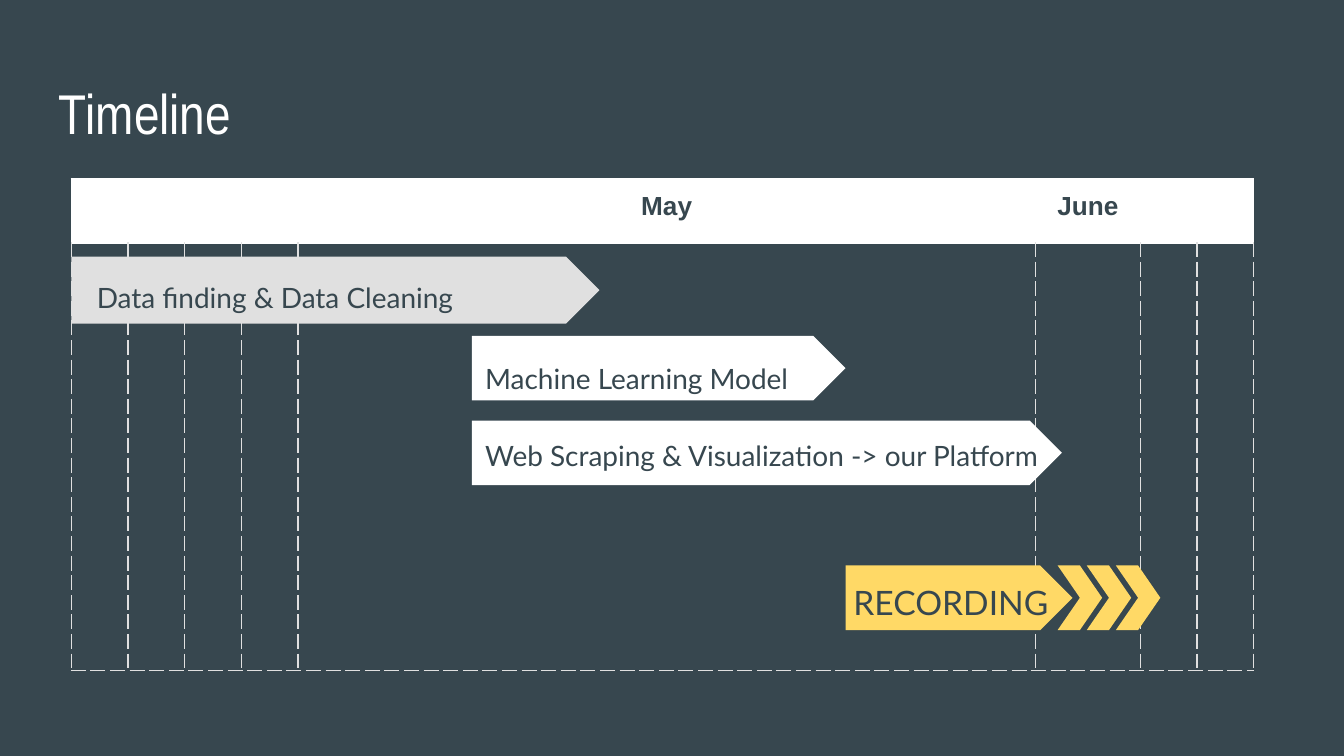
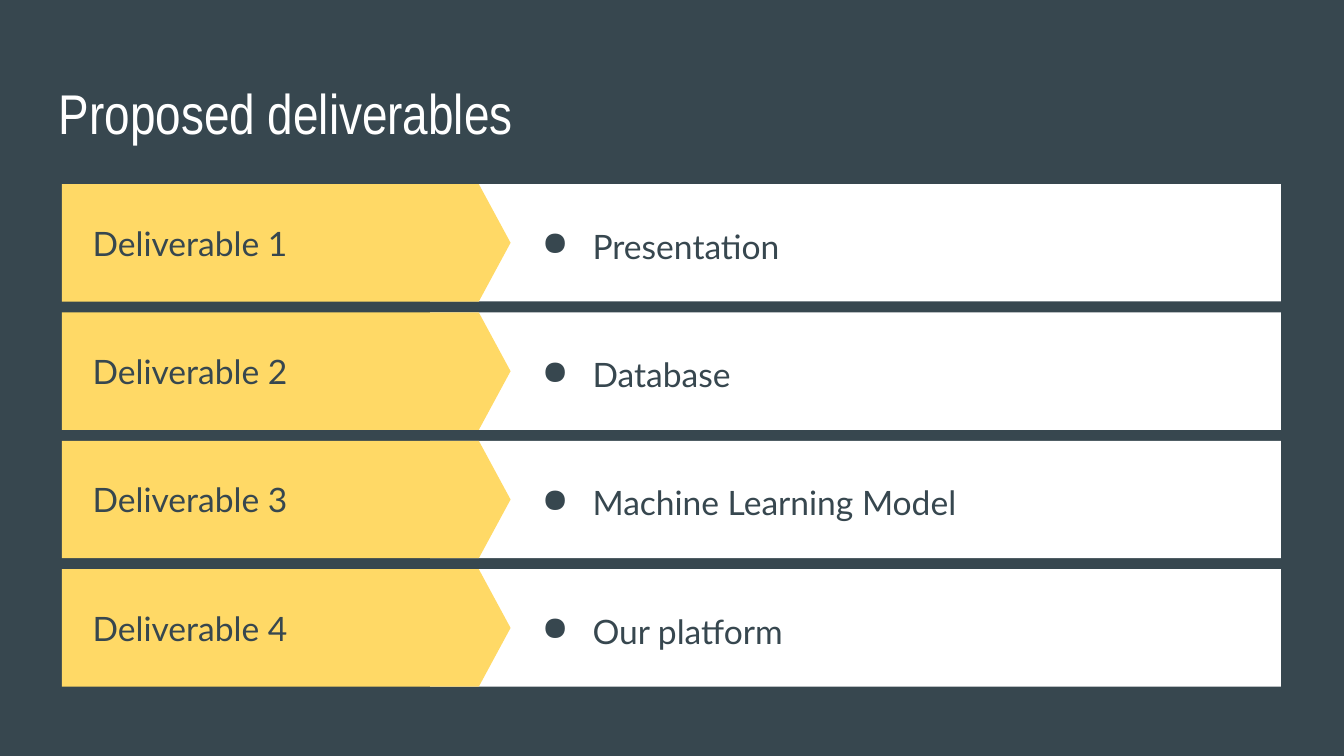
from collections import namedtuple

from lxml.etree import SubElement
from pptx import Presentation
from pptx.dml.color import RGBColor
from pptx.enum.shapes import MSO_SHAPE as Preset
from pptx.enum.text import MSO_ANCHOR as Anchor, MSO_AUTO_SIZE as AutoSize, PP_ALIGN as Align
from pptx.oxml import parse_xml
from pptx.oxml.ns import nsdecls, qn
from pptx.util import Cm, Pt

SLATE = RGBColor(0x37, 0x47, 0x4F)
WHITE = RGBColor(0xFF, 0xFF, 0xFF)
GREY = RGBColor(0xE0, 0xE0, 0xE0)
YELLOW = RGBColor(0xFF, 0xD9, 0x66)

TITLE_FONT, BODY_FONT, HEADER_FONT = "Arial Narrow", "Lato", "Arial"
INSET = Cm(0.25)
TITLE_ONLY = 5

# All Box values are centimetres.
Box = namedtuple("Box", "x y w h")
Task = namedtuple("Task", "text bar color label_dx label_dy label_w size")

TITLE_BOX = Box(0.86, 1.24, 23.67, 1.6)
TIMELINE_BOX = Box(1.35, 3.38, 22.34, 9.29)
DELIVERABLES_BOX = Box(1.17, 3.48, 23.04, 9.5)

HEADER_HEIGHT = 1.21
COLUMN_WIDTHS = [1.07] * 4 + [13.94, 1.98] + [1.07] * 2
MONTHS = {4: "May", 5: "June"}

# Bars are placed relative to the timeline, labels relative to their bar.
TASKS = [
    Task("Data finding & Data Cleaning", Box(0, 1.47, 9.98, 1.27), GREY, 0.23, 0.1, 9.3, 15),
    Task("Machine Learning Model", Box(7.57, 2.97, 7.06, 1.22), WHITE, 0, 0.13, 6.55, 15),
    Task("Web Scraping & Visualization -> our Platform",
         Box(7.57, 4.57, 11.15, 1.22), WHITE, 0, 0, 11.15, 15),
]
RECORDING = Task("RECORDING", Box(14.63, 7.31, 4.29, 1.22), YELLOW, -0.1, -0.05, 5.36, 18)
CHEVRON_COUNT, CHEVRON_START, CHEVRON_WIDTH, CHEVRON_PITCH = 3, 4.01, 0.84, 0.55

DELIVERABLES = ["Presentation", "Database", "Machine Learning Model", "Our platform"]
ROW_HEIGHT = 2.22


def lengths(box):
    return [Cm(value) for value in box]


def within(outer, box):
    """Shift a box given relative to outer onto the slide."""
    return box._replace(x=outer.x + box.x, y=outer.y + box.y)


def style_font(paragraph, name, size, color, bold=False):
    font = paragraph.font
    font.name, font.size, font.bold = name, Pt(size), bold
    font.color.rgb = color


def set_frame(frame, anchor):
    frame.word_wrap = True
    frame.auto_size = AutoSize.NONE
    frame.vertical_anchor = anchor
    frame.margin_left = frame.margin_right = INSET
    frame.margin_top = frame.margin_bottom = INSET


def add_titled_slide(prs, heading):
    slide = prs.slides.add_slide(prs.slide_layouts[TITLE_ONLY])
    title = slide.shapes.title
    title.left, title.top, title.width, title.height = lengths(TITLE_BOX)
    title.text = heading
    set_frame(title.text_frame, Anchor.TOP)
    paragraph = title.text_frame.paragraphs[0]
    paragraph.alignment = Align.LEFT
    style_font(paragraph, TITLE_FONT, 30, WHITE)
    return slide


def add_block(shapes, preset, box, color, point=None):
    block = shapes.add_shape(preset, *lengths(box))
    block.shadow.inherit = False
    block.fill.solid()
    block.fill.fore_color.rgb = color
    block.line.fill.background()
    if point is not None:
        block.adjustments[0] = point


def add_label(slide, box, text, size, anchor=Anchor.TOP, spacing=1.15):
    frame = slide.shapes.add_textbox(*lengths(box)).text_frame
    set_frame(frame, anchor)
    paragraph = frame.paragraphs[0]
    paragraph.text = text
    paragraph.line_spacing = spacing
    style_font(paragraph, BODY_FONT, size, SLATE)
    return paragraph


def add_bullet(paragraph):
    properties = paragraph._p.get_or_add_pPr()
    properties.set("marL", str(Cm(1.27)))
    properties.set("indent", str(Cm(-0.96)))
    color = parse_xml(f'<a:buClr {nsdecls("a")}><a:srgbClr val="{SLATE}"/></a:buClr>')
    bullet = parse_xml(f'<a:buChar {nsdecls("a")} char="●"/>')
    font_defaults = properties.find(qn("a:defRPr"))
    font_defaults.addprevious(color)
    font_defaults.addprevious(bullet)


def dash_borders(cell):
    """Dash the left, right and bottom edges; borders must precede the fill."""
    properties = cell._tc.get_or_add_tcPr()
    for index, edge in enumerate(("lnL", "lnR", "lnB")):
        line = parse_xml(f'<a:{edge} {nsdecls("a")} w="{Pt(0.75)}"/>')
        fill = SubElement(line, qn("a:solidFill"))
        SubElement(fill, qn("a:srgbClr"), val=str(GREY))
        SubElement(line, qn("a:prstDash"), val="dash")
        properties.insert(index, line)


def add_calendar(slide, box):
    table = slide.shapes.add_table(2, len(COLUMN_WIDTHS), *lengths(box)).table
    table.first_row = table.horz_banding = False
    table.rows[0].height = Cm(HEADER_HEIGHT)
    table.rows[1].height = Cm(box.h - HEADER_HEIGHT)
    for index, width in enumerate(COLUMN_WIDTHS):
        table.columns[index].width = Cm(width)
        header, body = table.cell(0, index), table.cell(1, index)
        for cell in (header, body):
            cell.margin_left = cell.margin_right = INSET
            cell.margin_top = cell.margin_bottom = INSET
        header.fill.solid()
        header.fill.fore_color.rgb = WHITE
        header.text = MONTHS.get(index, "")
        paragraph = header.text_frame.paragraphs[0]
        paragraph.alignment = Align.CENTER
        style_font(paragraph, HEADER_FONT, 14, SLATE, bold=True)
        body.fill.background()
        dash_borders(body)


def add_task_label(slide, task, bar):
    box = Box(bar.x + task.label_dx, bar.y + task.label_dy, task.label_w, bar.h)
    add_label(slide, box, task.text, task.size)


def add_task(slide, area, task):
    bar = within(area, task.bar)
    add_block(slide.shapes, Preset.PENTAGON, bar, task.color, 0.5)
    add_task_label(slide, task, bar)


def add_recording(slide, area):
    bar = within(area, RECORDING.bar)
    arrow = slide.shapes.add_group_shape().shapes
    add_block(arrow, Preset.PENTAGON, bar, YELLOW, 0.5)
    for index in range(CHEVRON_COUNT):
        x = bar.x + CHEVRON_START + index * CHEVRON_PITCH
        add_block(arrow, Preset.CHEVRON, Box(x, bar.y, CHEVRON_WIDTH, bar.h), YELLOW, 0.5)
    add_task_label(slide, RECORDING, bar)


def add_deliverable(slide, row, number, content):
    panel = within(row, Box(6.96, 0, row.w - 6.96, row.h))
    tag = within(row, Box(0, 0, 8.48, row.h))
    tag_label = within(row, Box(0.33, 0, 6.73, row.h))
    content_label = within(row, Box(8.51, 0, 14.2, row.h))
    band = slide.shapes.add_group_shape().shapes
    add_block(band, Preset.RECTANGLE, panel, WHITE)
    add_block(band, Preset.PENTAGON, tag, YELLOW, 0.27)
    add_label(slide, tag_label, f"Deliverable {number}", 18, Anchor.MIDDLE, 1.0)
    add_bullet(add_label(slide, content_label, content, 18, Anchor.MIDDLE))


def build_timeline(prs):
    slide = add_titled_slide(prs, "Timeline")
    add_calendar(slide, TIMELINE_BOX)
    for task in TASKS:
        add_task(slide, TIMELINE_BOX, task)
    add_recording(slide, TIMELINE_BOX)


def build_deliverables(prs):
    slide = add_titled_slide(prs, "Proposed deliverables")
    area = DELIVERABLES_BOX
    pitch = (area.h - ROW_HEIGHT) / (len(DELIVERABLES) - 1)
    for index, content in enumerate(DELIVERABLES):
        row = within(area, Box(0, index * pitch, area.w, ROW_HEIGHT))
        add_deliverable(slide, row, index + 1, content)


def main():
    prs = Presentation()
    prs.slide_width, prs.slide_height = Cm(25.4), Cm(14.29)
    background = prs.slide_master.background.fill
    background.solid()
    background.fore_color.rgb = SLATE
    build_timeline(prs)
    build_deliverables(prs)
    prs.save("out.pptx")


if __name__ == "__main__":
    main()
